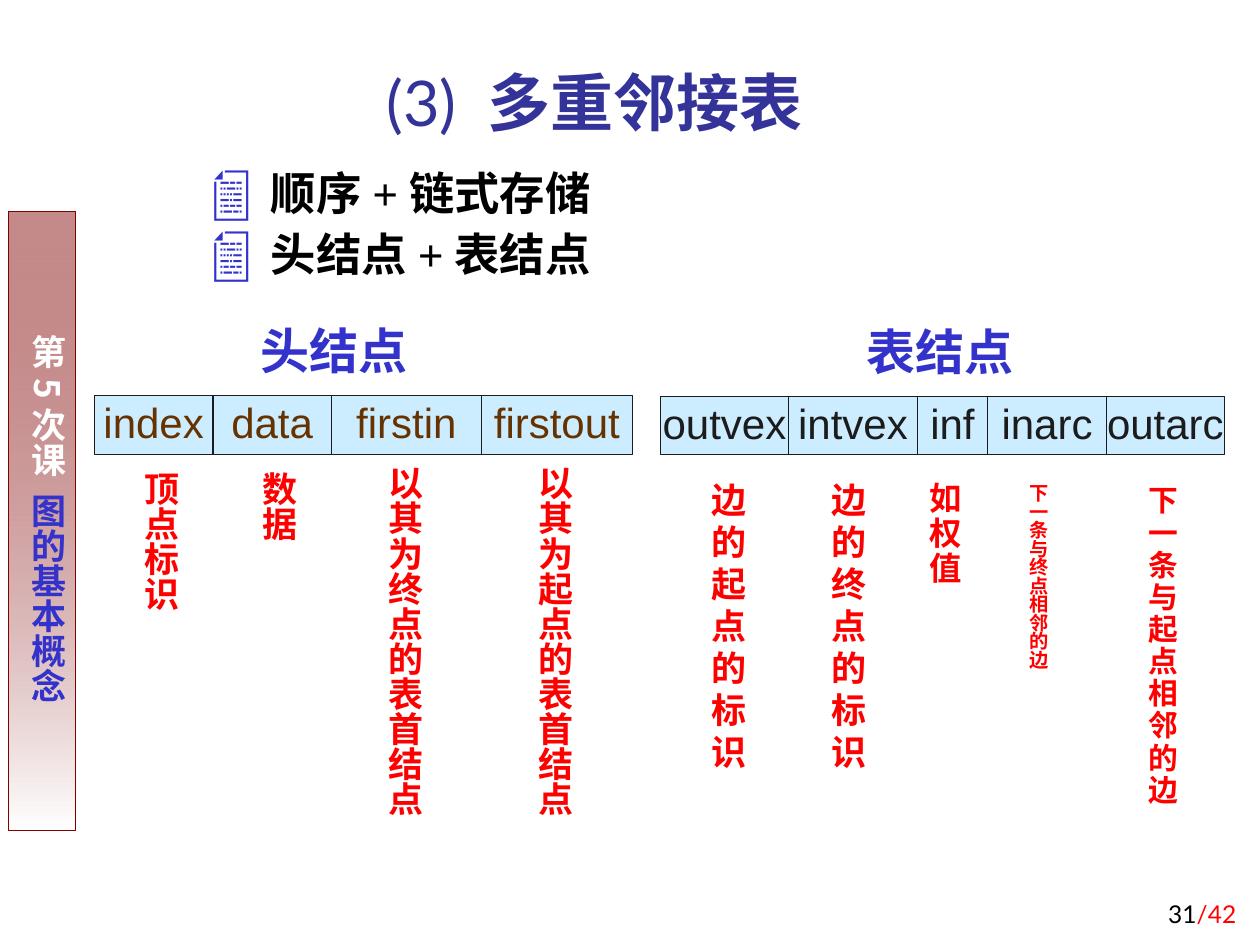
from lxml import etree
from pptx import Presentation
from pptx.dml.color import RGBColor
from pptx.enum.shapes import MSO_SHAPE
from pptx.enum.text import MSO_ANCHOR, PP_ALIGN
from pptx.oxml.ns import qn
from pptx.util import Inches, Pt

RECT = MSO_SHAPE.RECTANGLE
TOP, MID, LOW = MSO_ANCHOR.TOP, MSO_ANCHOR.MIDDLE, MSO_ANCHOR.BOTTOM
LEFT, MIDST, RIGHT = PP_ALIGN.LEFT, PP_ALIGN.CENTER, PP_ALIGN.RIGHT
RED, BLUE, BLACK, WHITE = "FF0000", "3333CC", "000000", "FFFFFF"
HAN = "Noto Sans CJK SC"
FLAT = (0.1, 0.05, 0.1, 0.05)
TALL = (0.05, 0.02, 0.05, 0.02)

HEAD = [
    ("index", 0.94, "顶点标识", (0.21, 0.58, 0.53, 1.2), 20, None),
    ("data", 0.94, "数据", (0.21, 0.58, 0.53, 0.65), 20, None),
    ("firstin", 1.19, "以其为终点的表首结点", (0.25, 0.54, 0.55, 2.8), 20, None),
    ("firstout", 1.2, "以其为起点的表首结点", (0.25, 0.54, 0.55, 2.8), 20, None),
]
EDGE = [
    ("outvex", 1.02, "边的起点的标识", (0.31, 0.6, 0.55, 2.55), 20, None),
    ("intvex", 1.02, "边的终点的标识", (0.24, 0.6, 0.55, 2.55), 20, None),
    ("inf", 0.56, "如权值", (0, 0.63, 0.47, 1.1), 18.5, 0.9),
    ("inarc", 0.94, "下一条与终点相邻的边", (0.23, 0.66, 0.47, 2.1), 11, 0.8),
    ("outarc", 0.94, "下一条与起点相邻的边", (0.24, 0.66, 0.47, 3.02), 17, 0.9),
]


def hue(code):
    return RGBColor.from_string(code)


def frame(shape, ins=FLAT, anchor=TOP, wrap=True, tall=False):
    body = shape.text_frame
    body.margin_left, body.margin_top, body.margin_right, body.margin_bottom = map(Inches, ins)
    body.vertical_anchor = anchor
    body.word_wrap = wrap
    if tall:
        body._txBody.bodyPr.set("vert", "eaVert")
    return body


def area(slide, box, **form):
    return frame(slide.shapes.add_textbox(*map(Inches, box)), **form)


def write(para, text, size=20, font="Lato", color=BLACK, bold=False, align=LEFT, lead=None):
    para.alignment = align
    if lead:
        para.line_spacing = lead
    run = para.add_run()
    run.text = text
    run.font.size = Pt(size)
    run.font.name = font
    run.font.bold = bold
    run.font.color.rgb = hue(color)
    etree.SubElement(run._r.get_or_add_rPr(), qn("a:ea"), typeface=HAN)


def mark(para):
    props = para._p.get_or_add_pPr()
    props.set("marL", str(Inches(0.38)))
    props.set("indent", str(-Inches(0.38)))
    tint = etree.SubElement(props, qn("a:buClr"))
    etree.SubElement(tint, qn("a:srgbClr"), val=BLUE)
    etree.SubElement(props, qn("a:buSzPct"), val="120000")
    etree.SubElement(props, qn("a:buFont"), typeface="Arial")
    etree.SubElement(props, qn("a:buChar"), char="📄")


def block(slide, box, line):
    shape = slide.shapes.add_shape(RECT, *map(Inches, box))
    shape.shadow.inherit = False
    shape.line.color.rgb = hue(line)
    shape.line.width = Pt(0.75)
    return shape


def banner(slide, box):
    shape = block(slide, box, "800000")
    shape.fill.gradient()
    shape.fill.gradient_angle = 270
    for stop, color, place in zip(shape.fill.gradient_stops, ("800000", WHITE), (0, 1)):
        stop.color.rgb = hue(color)
        stop.position = place
    first = shape._element.spPr.find(".//" + qn("a:srgbClr"))
    etree.SubElement(first, qn("a:alpha"), val="46000")
    para = frame(shape, ins=(0.05, 0.98, 0.05, 0.1), tall=True).paragraphs[0]
    write(para, "第5次课  ", font=HAN, color=WHITE, bold=True)
    write(para, "图的基本概念", font=HAN, color=BLUE, bold=True)


def title(slide, box):
    para = area(slide, box, anchor=LOW).paragraphs[0]
    write(para, "(3) ", size=36, color="333399", align=MIDST)
    write(para, "多重邻接表", size=36, font=HAN, color="333399", bold=True, align=MIDST)


def points(slide, box):
    body = area(slide, box)
    for i, text in enumerate((" 顺序+链式存储", " 头结点+表结点")):
        para = body.add_paragraph() if i else body.paragraphs[0]
        if i:
            para.space_before = Pt(7)
        mark(para)
        write(para, text, size=25.9, font="Times New Roman", bold=True, lead=0.9)


def node(slide, box, name, shift, fields, color, tall):
    left, top, high = box
    label = area(slide, (left + shift, top - 0.65, 1.37, 0.57), anchor=LOW, wrap=False)
    write(label.paragraphs[0], name, size=28, color=BLUE, bold=True)
    for field, wide, note, (dx, dy, w, h), size, lead in fields:
        cell = block(slide, (left, top, wide, high), "1C1C1C")
        cell.fill.solid()
        cell.fill.fore_color.rgb = hue("CCECFF")
        body = frame(cell, ins=(0.1, 0, 0.1, 0.05), anchor=MID, wrap=False)
        write(body.paragraphs[0], field, size=24, font="Arial", color=color, align=MIDST)
        text = area(slide, (left + dx, top + dy, w, h), ins=TALL if tall else FLAT,
                    wrap=not tall, tall=tall)
        write(text.paragraphs[0], note, size=size, font="Lato" if tall else "Times New Roman",
              color=RED, bold=True, lead=lead)
        left += wide


def footer(slide, box):
    para = area(slide, box, anchor=LOW).paragraphs[0]
    write(para, "31", size=14, align=RIGHT)
    write(para, "/42", size=14, color=RED, align=RIGHT)


def main():
    deck = Presentation()
    deck.slide_width, deck.slide_height = Inches(10), Inches(7.5)
    slide = deck.slides.add_slide(deck.slide_layouts[6])
    banner(slide, (0.07, 1.68, 0.53, 4.91))
    footer(slide, (7.83, 6.92, 2.08, 0.5))
    title(slide, (1.69, 0.28, 6.06, 0.87))
    points(slide, (1.59, 1.31, 8.22, 1.07))
    node(slide, (0.75, 3.14, 0.47), "头结点", 1.22, HEAD, "663300", True)
    node(slide, (5.24, 3.15, 0.46), "表结点", 1.54, EDGE, "1C1C1C", False)
    deck.save("out.pptx")


if __name__ == "__main__":
    main()
